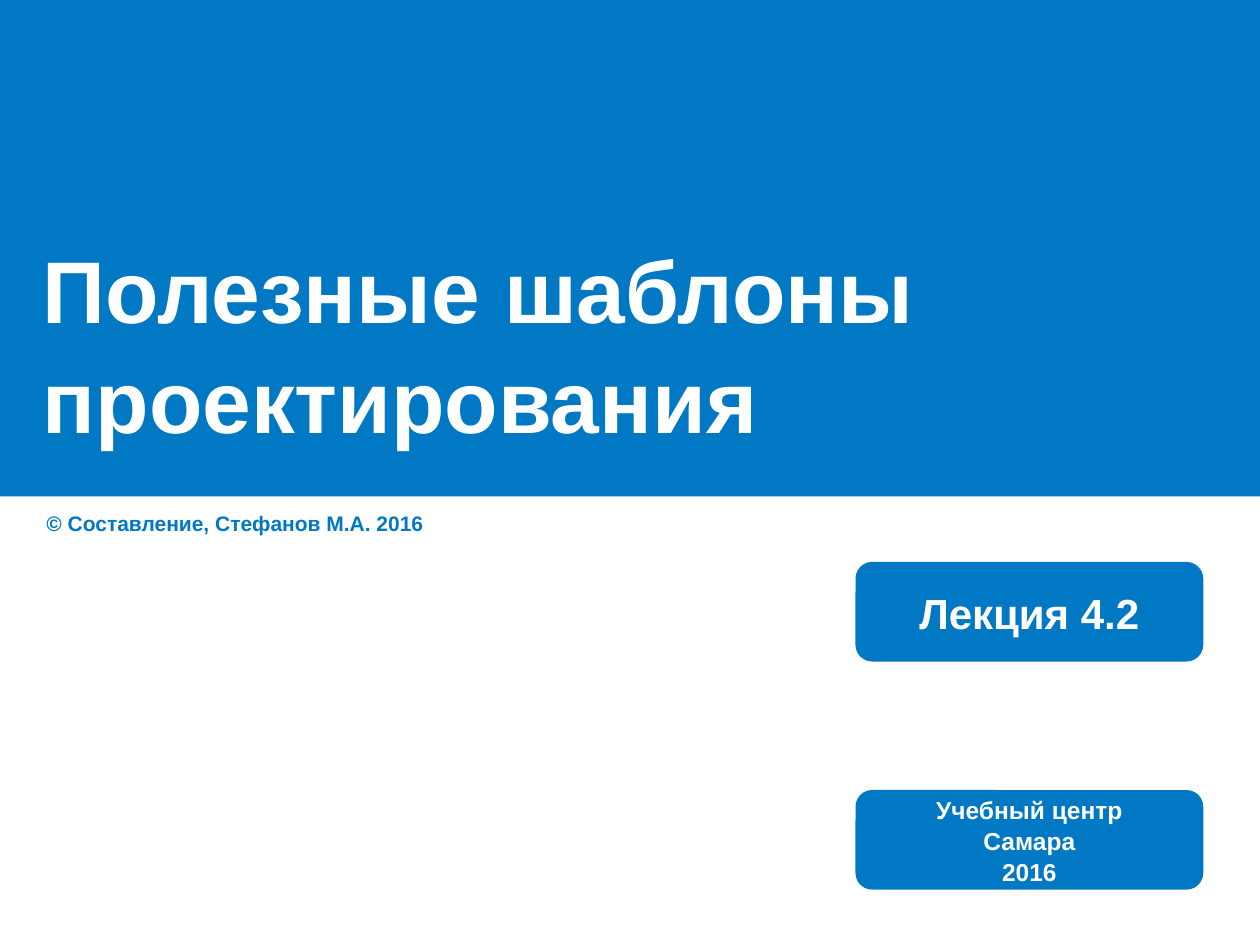
from pptx import Presentation
from pptx.dml.color import RGBColor
from pptx.enum.shapes import MSO_SHAPE
from pptx.enum.text import MSO_ANCHOR, PP_ALIGN
from pptx.util import Inches, Pt

BLUE = RGBColor(0x00, 0x78, 0xC3)
WHITE = RGBColor(0xFF, 0xFF, 0xFF)
WIDTH, HEIGHT = 10, 7.5


def write(shape, lines, size, color, align=PP_ALIGN.LEFT,
          anchor=MSO_ANCHOR.MIDDLE, wrap=True, side=0.1):
    frame = shape.text_frame
    frame.word_wrap = wrap
    frame.vertical_anchor = anchor
    frame.margin_left = frame.margin_right = Inches(side)
    frame.margin_top = frame.margin_bottom = Inches(0.05)
    for i, line in enumerate(lines):
        para = frame.add_paragraph() if i else frame.paragraphs[0]
        para.alignment = align
        para.line_spacing = 1.05
        run = para.add_run()
        run.text = line
        font = run.font
        font.name, font.size, font.bold = "Arial", Pt(size), True
        font.color.rgb = color


def block(slide, kind, box):
    shape = slide.shapes.add_shape(kind, *map(Inches, box))
    shape.shadow.inherit = False
    shape.fill.solid()
    shape.fill.fore_color.rgb = BLUE
    shape.line.fill.background()
    return shape


def banner(slide, box, title):
    left, top, width, height = box
    block(slide, MSO_SHAPE.RECTANGLE, box)
    # Title in the lower part of the band
    area = (left + 0.027 * width, top + 0.38 * height,
            0.945 * width, 0.614 * height)
    text = slide.shapes.add_textbox(*map(Inches, area))
    write(text, [title], 50, WHITE, side=0.07)


def credit(slide, box, line):
    text = slide.shapes.add_textbox(*map(Inches, box))
    write(text, [line], 12, BLUE, anchor=MSO_ANCHOR.TOP)


def badges(slide, box, items):
    left, top, width, height = box
    tall = 0.79
    step = (height - tall) / (len(items) - 1)
    for i, (lines, size) in enumerate(items):
        badge = block(slide, MSO_SHAPE.ROUNDED_RECTANGLE,
                      (left, top + i * step, width, tall))
        write(badge, lines, size, WHITE, PP_ALIGN.CENTER, wrap=False)


def main():
    deck = Presentation()
    deck.slide_width, deck.slide_height = Inches(WIDTH), Inches(HEIGHT)
    slide = deck.slides.add_slide(deck.slide_layouts[6])

    # Top band
    banner(slide, (0, 0, WIDTH, 3.94), "Полезные шаблоны проектирования")
    # Author line
    credit(slide, (0.27, 3.99, 4.88, 0.3), "© Составление, Стефанов М.А. 2016")
    # Lecture number and place
    badges(slide, (6.79, 4.46, 2.76, 2.6), [
        (["Лекция 4.2"], 24),
        (["Учебный центр", "Самара", "2016"], 14),
    ])
    deck.save("out.pptx")


if __name__ == "__main__":
    main()
